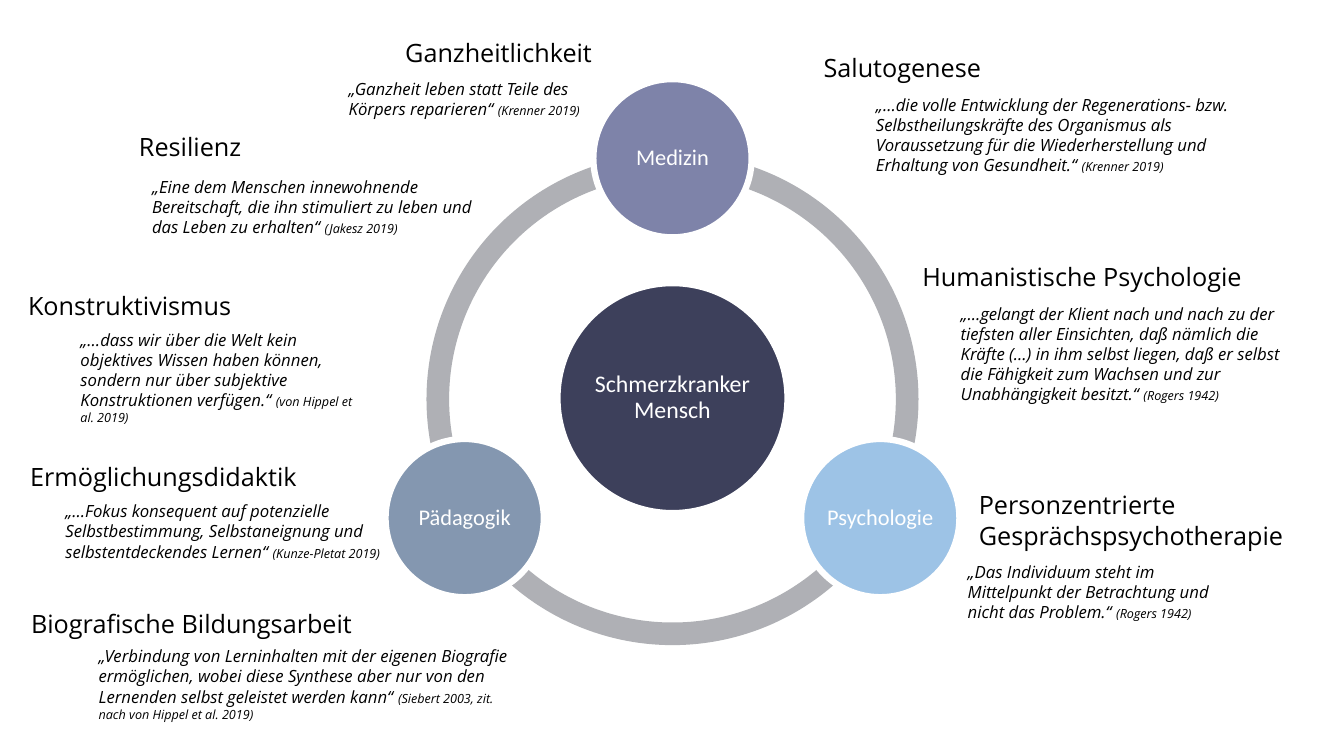
from dataclasses import dataclass
from math import cos, radians, sin

from pptx import Presentation
from pptx.dml.color import RGBColor
from pptx.enum.shapes import MSO_SHAPE as Shape
from pptx.enum.text import MSO_ANCHOR as Anchor, MSO_AUTO_SIZE as AutoSize, PP_ALIGN as Align
from pptx.slide import Slide
from pptx.util import Inches, Pt

WHITE = RGBColor(0xFF, 0xFF, 0xFF)
BLACK = RGBColor(0x00, 0x00, 0x00)
RING_GRAY = RGBColor(0xAF, 0xB0, 0xB5)
NAVY = RGBColor(0x3D, 0x40, 0x5B)
VIOLET = RGBColor(0x7E, 0x83, 0xA9)
SKY_BLUE = RGBColor(0x9D, 0xC3, 0xE6)
SLATE_BLUE = RGBColor(0x84, 0x97, 0xB0)

CENTER_X, CENTER_Y = 6.67, 3.95
RING_DIAMETER = 4.88
RING_THICKNESS = 0.046
ORBIT_RADIUS = 2.38
ARC_SPAN = 120
ANGLE_UNIT = 0.6


@dataclass(frozen=True)
class Discipline:
    name: str
    angle: int
    color: RGBColor


@dataclass(frozen=True)
class Area:
    left: float
    top: float
    width: float
    height: float = 0.4


@dataclass(frozen=True)
class Concept:
    heading: str
    heading_area: Area
    quote: str
    source: str
    quote_area: Area


DISCIPLINES = [
    Discipline("Medizin", 270, VIOLET),
    Discipline("Psychologie", 30, SKY_BLUE),
    Discipline("Pädagogik", 150, SLATE_BLUE),
]

CONCEPTS = [
    Concept("Ganzheitlichkeit", Area(3.92, 0.32, 2.11),
            "„Ganzheit leben statt Teile des Körpers reparieren“ ",
            "(Krenner 2019)", Area(3.36, 0.73, 2.72, 0.5)),
    Concept("Salutogenese", Area(8.07, 0.47, 2.43),
            "„…die volle Entwicklung der Regenerations- bzw. Selbstheilungskräfte des "
            "Organismus als Voraussetzung für die Wiederherstellung und Erhaltung von "
            "Gesundheit.“ ",
            "(Krenner 2019)", Area(8.59, 0.89, 3.84, 0.91)),
    Concept("Resilienz", Area(1.28, 1.25, 2.18),
            "„Eine dem Menschen innewohnende Bereitschaft, die ihn stimuliert zu leben "
            "und das Leben zu erhalten“ ",
            "(Jakesz 2019)", Area(1.41, 1.7, 3.53, 0.71)),
    Concept("Humanistische Psychologie", Area(9.05, 2.54, 3.62),
            "„…gelangt der Klient nach und nach zu der tiefsten aller Einsichten, daß "
            "nämlich die Kräfte (…) in ihm selbst liegen, daß er selbst die Fähigkeit "
            "zum Wachsen und zur Unabhängigkeit besitzt.“ ",
            "(Rogers 1942)", Area(9.43, 2.96, 3.62, 1.11)),
    Concept("Konstruktivismus", Area(0.18, 2.83, 3.14),
            "„…dass wir über die Welt kein objektives Wissen haben können, sondern nur "
            "über subjektive Konstruktionen verfügen.“ ",
            "(von Hippel et al. 2019)", Area(0.7, 3.22, 2.97, 1.08)),
    Concept("Personzentrierte Gesprächspsychotherapie", Area(9.61, 4.81, 3.36, 0.71),
            "„Das Individuum steht im Mittelpunkt der Betrachtung und nicht das Problem.“ ",
            "(Rogers 1942)", Area(9.5, 5.52, 2.8, 0.71)),
    Concept("Ermöglichungsdidaktik", Area(0.2, 4.53, 3.01),
            "„…Fokus konsequent auf potenzielle Selbstbestimmung, Selbstaneignung und "
            "selbstentdeckendes Lernen“ ",
            "(Kunze-Pletat 2019)", Area(0.55, 4.92, 3.36, 0.71)),
    Concept("Biografische Bildungsarbeit", Area(0.21, 5.99, 3.76),
            "„Verbindung von Lerninhalten mit der eigenen Biografie ermöglichen, wobei "
            "diese Synthese aber nur von den Lernenden selbst geleistet werden kann“ ",
            "(Siebert 2003, zit. nach von Hippel et al. 2019)", Area(0.88, 6.36, 4.3, 0.88)),
]


def add_centered(page: Slide, kind: Shape, x: float, y: float, diameter: float, color: RGBColor):
    shape = page.shapes.add_shape(kind, Inches(x - diameter / 2), Inches(y - diameter / 2),
                                  Inches(diameter), Inches(diameter))
    shape.shadow.inherit = False
    shape.fill.solid()
    shape.fill.fore_color.rgb = color
    return shape


def add_arc(page: Slide, start: int) -> None:
    arc = add_centered(page, Shape.BLOCK_ARC, CENTER_X, CENTER_Y + 0.01, RING_DIAMETER, RING_GRAY)
    arc.line.fill.background()
    arc.adjustments[0] = start * ANGLE_UNIT
    arc.adjustments[1] = (start + ARC_SPAN) % 360 * ANGLE_UNIT
    arc.adjustments[2] = RING_THICKNESS


def add_circle(page: Slide, label: str, x: float, y: float, diameter: float,
               color: RGBColor, border: float, size: int) -> None:
    circle = add_centered(page, Shape.OVAL, x, y, diameter, color)
    circle.line.color.rgb = WHITE
    circle.line.width = Pt(border)
    frame = circle.text_frame
    frame.text = label
    frame.word_wrap = True
    frame.vertical_anchor = Anchor.MIDDLE
    frame.margin_left = frame.margin_right = Inches(0.02)
    frame.margin_top = frame.margin_bottom = Inches(0.02)
    para = frame.paragraphs[0]
    para.alignment = Align.CENTER
    para.line_spacing = 0.9
    font = para.runs[0].font
    font.name, font.size = "Calibri", Pt(size)
    font.color.rgb = WHITE


def add_text(page: Slide, area: Area, pieces: list[tuple[str, int]], italic: bool) -> None:
    box = page.shapes.add_textbox(Inches(area.left), Inches(area.top),
                                  Inches(area.width), Inches(area.height))
    frame = box.text_frame
    frame.word_wrap = True
    frame.auto_size = AutoSize.SHAPE_TO_FIT_TEXT
    for text, size in pieces:
        span = frame.paragraphs[0].add_run()
        span.text = text
        span.font.name, span.font.size = "Open Sans", Pt(size)
        span.font.italic = italic
        span.font.color.rgb = BLACK


def add_concept(page: Slide, concept: Concept) -> None:
    add_text(page, concept.heading_area, [(concept.heading, 18)], italic=False)
    add_text(page, concept.quote_area, [(concept.quote, 12), (concept.source, 9)], italic=True)


deck = Presentation()
deck.slide_width, deck.slide_height = Inches(13.33), Inches(7.5)
page = deck.slides.add_slide(deck.slide_layouts[6])

for discipline in DISCIPLINES:
    add_arc(page, discipline.angle)
add_circle(page, "Schmerzkranker Mensch", CENTER_X, CENTER_Y, 2.24, NAVY, 1.5, 17)
for discipline in DISCIPLINES:
    direction = radians(discipline.angle)
    add_circle(page, discipline.name, CENTER_X + ORBIT_RADIUS * cos(direction),
               CENTER_Y + ORBIT_RADIUS * sin(direction), 1.57, discipline.color, 4.5, 16)
for concept in CONCEPTS:
    add_concept(page, concept)

deck.save("out.pptx")
